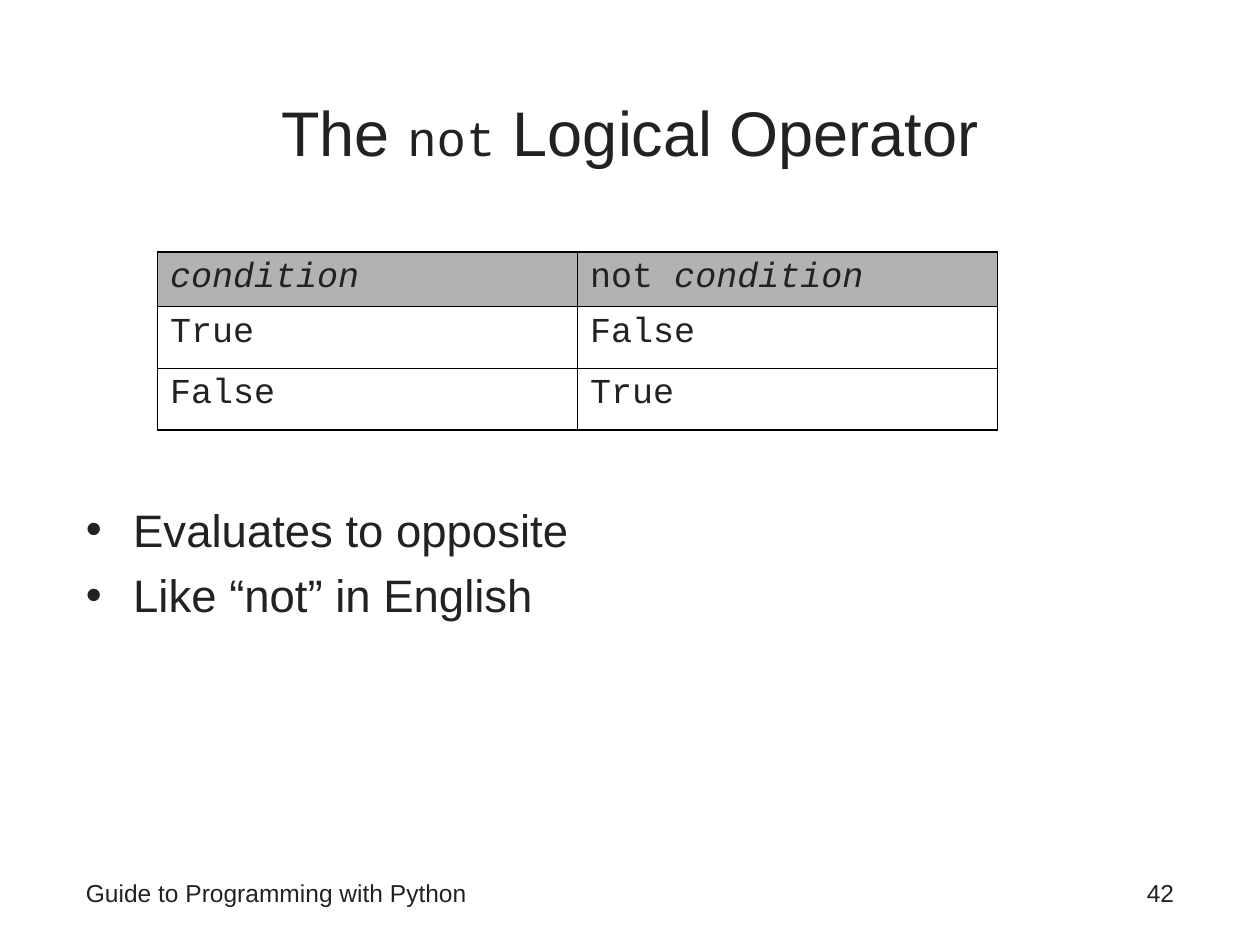
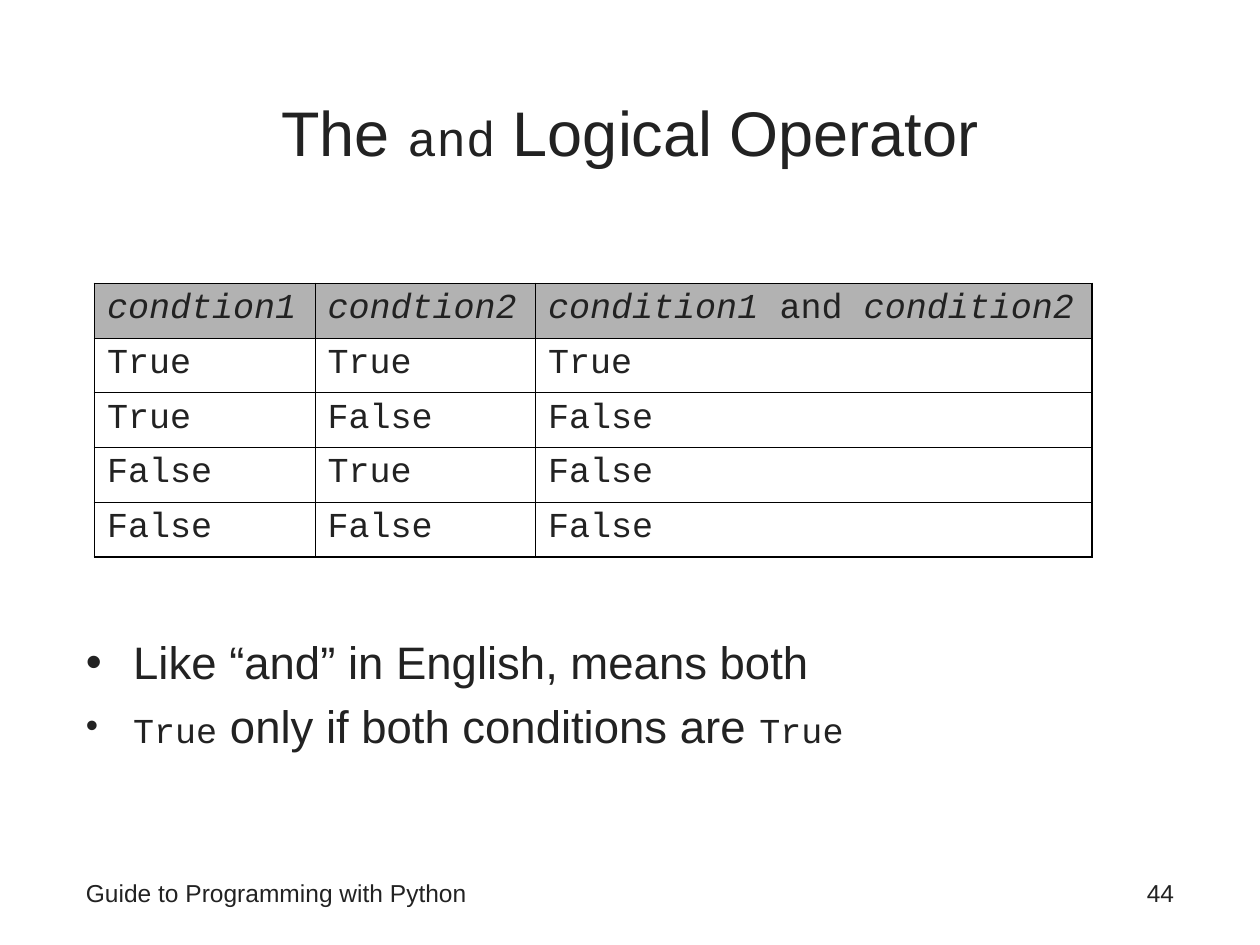
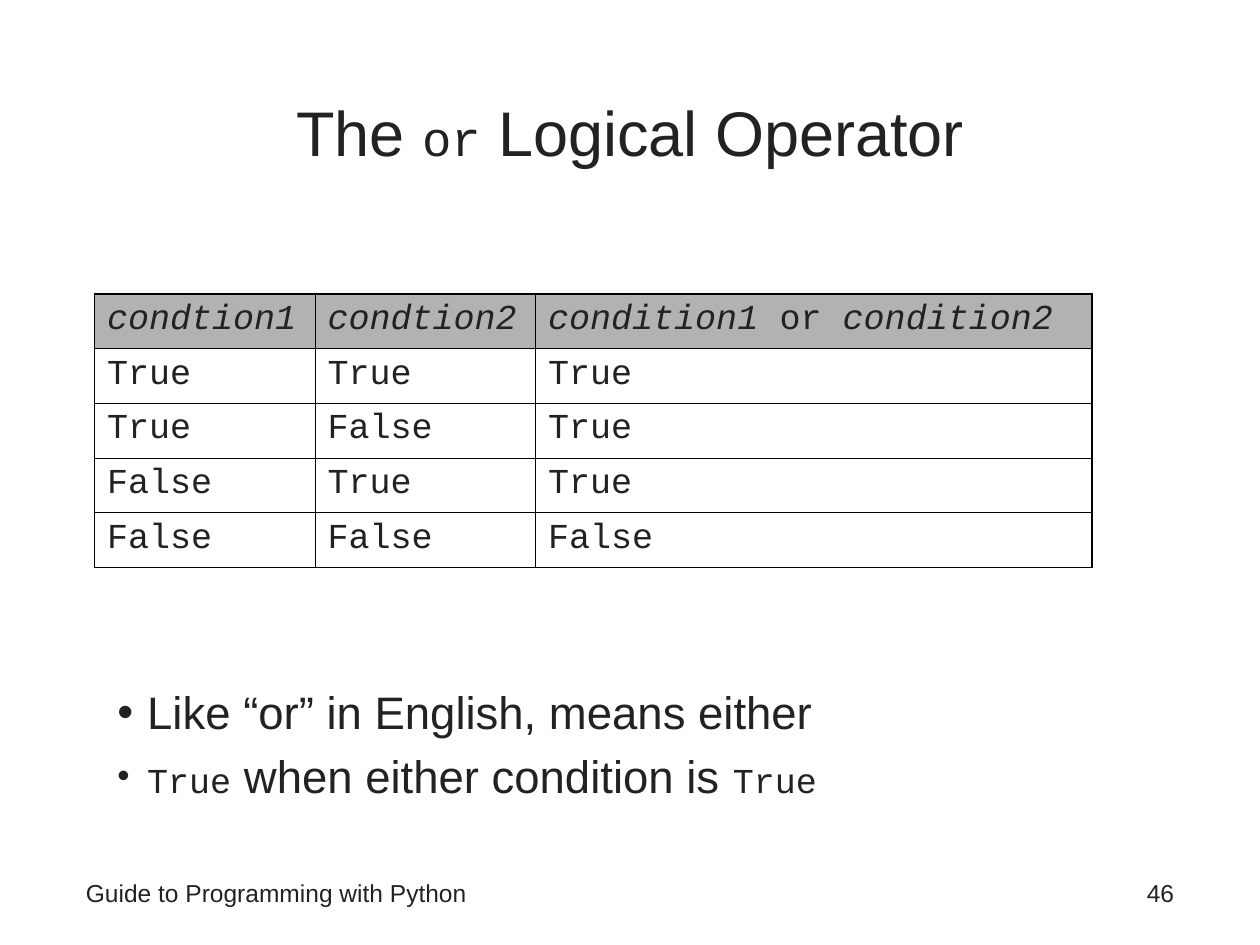
from lxml.etree import SubElement
from pptx import Presentation
from pptx.dml.color import RGBColor
from pptx.enum.text import MSO_ANCHOR, PP_ALIGN
from pptx.oxml import parse_xml
from pptx.oxml.ns import nsdecls, qn
from pptx.util import Pt

INK, HEADER_GREY, RULE = "222222", "B2B2B2", "000000"
SANS, MONO = "Arial", "Courier New"
OUTER, INNER = 1.08, 0.45
MARGIN, CONTENT_WIDTH = 42, 636
ROW = 31.25
TRUTH_INPUTS = [("True", "True"), ("True", "False"), ("False", "True"), ("False", "False")]
TRUTH_COLUMNS = (126, 126, 318)


def colour(value):
    return RGBColor.from_string(value)


def sans(text, size=26):
    return text, SANS, size, False


def code(text, size=20, italic=False):
    return text, MONO, size, italic


def add_spans(para, spans):
    for text, font, size, italic in spans:
        span = para.add_run()
        span.text = text
        span.font.name = font
        span.font.size = Pt(size)
        span.font.italic = italic
        span.font.color.rgb = colour(INK)


def add_text(page, left, top, width, height, spans=(), align=PP_ALIGN.LEFT, anchor=MSO_ANCHOR.TOP):
    box = page.shapes.add_textbox(Pt(left), Pt(top), Pt(width), Pt(height))
    frame = box.text_frame
    frame.word_wrap = True
    frame.vertical_anchor = anchor
    frame.paragraphs[0].alignment = align
    add_spans(frame.paragraphs[0], spans)
    return frame


def add_bullet(para, indent):
    properties = para._p.get_or_add_pPr()
    properties.set("marL", str(Pt(indent)))
    properties.set("indent", str(-Pt(indent)))
    tint = SubElement(properties, qn("a:buClr"))
    SubElement(tint, qn("a:srgbClr"), val=INK)
    SubElement(properties, qn("a:buFont"), typeface=SANS)
    SubElement(properties, qn("a:buChar"), char="•")


def add_bullets(page, left, top, width, height, items, indent=27):
    frame = add_text(page, left, top, width, height)
    for index, spans in enumerate(items):
        para = frame.add_paragraph() if index else frame.paragraphs[0]
        add_bullet(para, indent)
        para.line_spacing = Pt(31.2)
        if index:
            para.space_before = Pt(spans[0][2] / 4)
        add_spans(para, spans)


def set_borders(cell, widths):
    properties = cell._tc.get_or_add_tcPr()
    for index, (side, width) in enumerate(zip("LRTB", widths)):
        properties.insert(index, parse_xml(
            f'<a:ln{side} {nsdecls("a")} w="{Pt(width)}"><a:solidFill>'
            f'<a:srgbClr val="{RULE}"/></a:solidFill></a:ln{side}>'))


def add_truth_table(page, left, top, columns, heights, rows):
    frame = page.shapes.add_table(len(rows), len(columns), Pt(left), Pt(top),
                                  Pt(sum(columns)), Pt(sum(heights)))
    table = frame.table
    table.first_row = table.horz_banding = False
    for column, width in zip(table.columns, columns):
        column.width = Pt(width)
    last_row, last_column = len(rows) - 1, len(columns) - 1
    for r, row in enumerate(rows):
        table.rows[r].height = Pt(heights[r])
        for c, spans in enumerate(row):
            cell = table.cell(r, c)
            add_spans(cell.text_frame.paragraphs[0], spans)
            if r == 0:
                cell.fill.solid()
                cell.fill.fore_color.rgb = colour(HEADER_GREY)
            else:
                cell.fill.background()
            edges = (c == 0, c == last_column, r == 0, r == last_row)
            set_borders(cell, [OUTER if edge else INNER for edge in edges])


def add_binary_table(page, top, operator, results):
    header = [[code("condtion1", italic=True)],
              [code("condtion2", italic=True)],
              [code("condition1", italic=True), code(f" {operator} "),
               code("condition2", italic=True)]]
    rows = [[[code(value)] for value in (*inputs, result)]
            for inputs, result in zip(TRUTH_INPUTS, results)]
    add_truth_table(page, 54, top, TRUTH_COLUMNS, [ROW] * 5, [header, *rows])


def add_page(deck, operator, number):
    page = deck.slides.add_slide(deck.slide_layouts[6])
    add_text(page, MARGIN, 498, 462, 30, [sans("Guide to Programming with Python", 14)])
    add_text(page, 516, 498, 162, 30, [sans(str(number), 14)], PP_ALIGN.RIGHT)
    add_text(page, MARGIN, 30, CONTENT_WIDTH, 90,
             [sans("The ", 36), code(operator, 28), sans(" Logical Operator", 36)],
             PP_ALIGN.CENTER, MSO_ANCHOR.MIDDLE)
    return page


def add_not_page(deck):
    page = add_page(deck, "not", 42)
    rows = [[[code("condition", italic=True)],
             [code("not "), code("condition", italic=True)]],
            [[code("True")], [code("False")]],
            [[code("False")], [code("True")]]]
    add_truth_table(page, 90, 144, (240, 240), (ROW, 35.25, 35.25), rows)
    add_bullets(page, MARGIN, 283, CONTENT_WIDTH, 209,
                [[sans("Evaluates to opposite")], [sans("Like “not” in English")]])


def add_and_page(deck):
    page = add_page(deck, "and", 44)
    add_binary_table(page, 162, "and", ("True", "False", "False", "False"))
    add_bullets(page, MARGIN, 359, CONTENT_WIDTH, 133,
                [[sans("Like “and” in English, means both")],
                 [code("True"), sans(" only if both conditions are "), code("True")]])


def add_or_page(deck):
    page = add_page(deck, "or", 46)
    add_binary_table(page, 168, "or", ("True", "True", "True", "False"))
    add_bullets(page, 60, 387.5, 564, 74,
                [[sans("Like “or” in English, means either")],
                 [code("True"), sans(" when either condition is "), code("True")]], indent=17)


def main():
    deck = Presentation()
    deck.slide_width, deck.slide_height = Pt(720), Pt(540)
    add_not_page(deck)
    add_and_page(deck)
    add_or_page(deck)
    deck.save("out.pptx")


if __name__ == "__main__":
    main()
